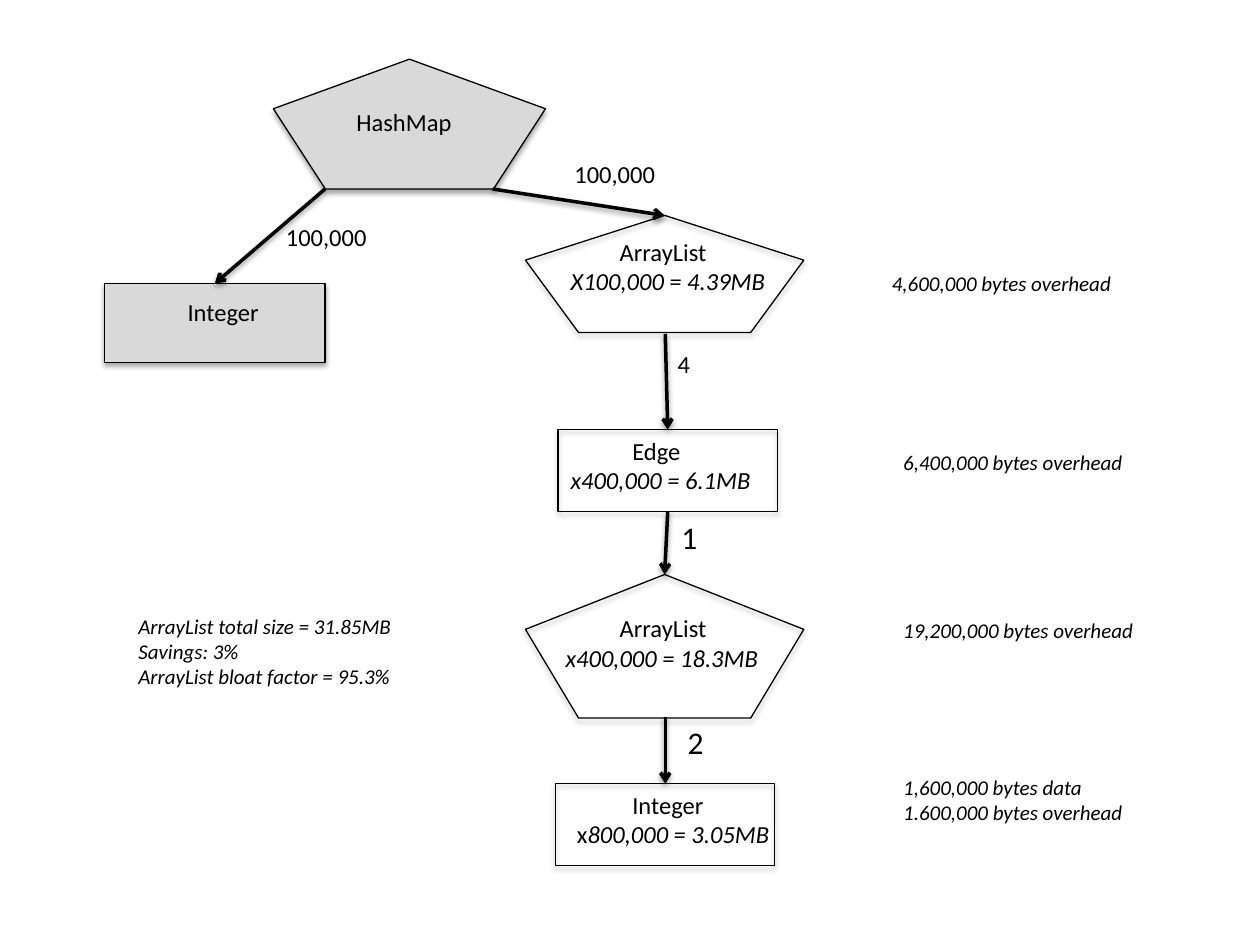
from pptx import Presentation
from pptx.dml.color import RGBColor
from pptx.enum.shapes import MSO_CONNECTOR, MSO_SHAPE
from pptx.enum.text import MSO_AUTO_SIZE
from pptx.oxml.ns import qn
from pptx.util import Inches, Pt
from lxml.etree import SubElement

COLORS = {"ink": "000000", "built_in": "D9D9D9"}
INK = RGBColor.from_string(COLORS["ink"])


def add_shadow(effects, alpha, distance):
    shadow = SubElement(effects, qn("a:outerShdw"), blurRad=str(Pt(3.1)),
                        dist=str(Pt(distance)), dir="5400000", rotWithShape="0")
    color = SubElement(shadow, qn("a:srgbClr"), val=COLORS["ink"])
    SubElement(color, qn("a:alpha"), val=str(alpha * 1000))


def add_label(box, lines, size):
    label = slide.shapes.add_textbox(*map(Inches, box))
    frame = label.text_frame
    frame.word_wrap = False
    frame.auto_size = MSO_AUTO_SIZE.SHAPE_TO_FIT_TEXT
    for number, (text, indent, italic) in enumerate(lines):
        paragraph = frame.add_paragraph() if number else frame.paragraphs[0]
        if indent:
            properties = paragraph._p.get_or_add_pPr()
            properties.set("marL", str(Inches(indent)))
            properties.set("indent", "0")
        upright = "x" if text.startswith("x800") else ""
        runs = [(upright, False), (text[len(upright):], italic)]
        for words, slanted in runs:
            if not words:
                continue
            run = paragraph.add_run()
            run.text = words
            for name, value in {"name": "Calibri", "size": Pt(size),
                                "italic": slanted}.items():
                setattr(run.font, name, value)
            run.font.color.rgb = INK


prs = Presentation()
prs.slide_width, prs.slide_height = Inches(10), Inches(7.5)
slide = prs.slides.add_slide(prs.slide_layouts[6])

PENTAGON, RECTANGLE = MSO_SHAPE.REGULAR_PENTAGON, MSO_SHAPE.RECTANGLE
node_specs = {
    "hash_map": (PENTAGON, (2.17, 0.47, 2.16, 1.03), "built_in"),
    "vertex_key": (RECTANGLE, (0.83, 2.25, 1.75, 0.63), "built_in"),
    "edge_list": (PENTAGON, (4.17, 1.71, 2.21, 0.93), None),
    "edge": (RECTANGLE, (4.43, 3.41, 1.74, 0.65), None),
    "endpoint_list": (PENTAGON, (4.17, 4.56, 2.21, 1.14), None),
    "endpoint": (RECTANGLE, (4.41, 6.22, 1.74, 0.65), None),
}
nodes = {}
for key, (outline, box, fill) in node_specs.items():
    node = slide.shapes.add_shape(outline, *map(Inches, box))
    if fill:
        node.fill.solid()
        node.fill.fore_color.rgb = RGBColor.from_string(COLORS[fill])
    else:
        node.fill.background()
    node.line.color.rgb = INK
    node.line.width = Pt(0.75)
    node.shadow.inherit = False
    add_shadow(node._element.spPr.find(qn("a:effectLst")), 35, 1.8)
    nodes[key] = node

references = [
    ((2.58, 1.5), None, "vertex_key"),
    ((3.91, 1.5), None, "edge_list"),
    ((5.28, 2.65), None, "edge"),
    ((5.3, 4.06), "edge", "endpoint_list"),
    ((5.28, 5.69), None, "endpoint"),
]
for (x, y), source, target in references:
    arrow = slide.shapes.add_connector(MSO_CONNECTOR.STRAIGHT, Inches(x), Inches(y),
                                       Inches(x), Inches(y))
    if source:
        arrow.begin_connect(nodes[source], 2)
    arrow.end_connect(nodes[target], 0)
    arrow.line.color.rgb = INK
    arrow.line.width = Pt(2)
    SubElement(arrow.line._get_or_add_ln(), qn("a:tailEnd"), type="arrow")
    add_shadow(SubElement(arrow._element.spPr, qn("a:effectLst")), 38, 1.6)

node_labels = [
    ((2.69, 0.8, 1.04, 0.34), [("HashMap", 0.04, False)]),
    ((1.39, 2.31, 0.78, 0.34), [("Integer", 0, False)]),
    ((4.43, 1.83, 1.81, 0.57), [("ArrayList", 0.39, False), ("X100,000 = 4.39MB", 0, True)]),
    ((4.43, 3.41, 1.74, 0.57), [("Edge", 0.49, False), ("x400,000 = 6.1MB", 0, True)]),
    ((4.39, 4.82, 1.79, 0.57), [("ArrayList", 0.43, False), ("x400,000 = 18.3MB", 0, True)]),
    ((4.43, 6.22, 1.82, 0.57), [("Integer", 0.49, False), ("x800,000 = 3.05MB", 0.05, True)]),
]
for box, lines in node_labels:
    add_label(box, lines, 14)

counts = [
    ((2.17, 1.71, 0.85, 0.34), "100,000", 14),
    ((4.46, 1.21, 0.85, 0.34), "100,000", 14),
    ((5.28, 2.72, 0.3, 0.34), "4", 14),
    ((5.31, 4.06, 0.33, 0.4), "1", 18),
    ((5.36, 5.69, 0.33, 0.4), "2", 18),
]
for box, count, size in counts:
    add_label(box, [(count, 0, False)], size)

notes = [
    ((6.98, 2.1, 2, 0.3), ["4,600,000 bytes overhead"]),
    ((7.07, 3.52, 2, 0.3), ["6,400,000 bytes overhead"]),
    ((7.07, 4.85, 2.08, 0.3), ["19,200,000 bytes overhead"]),
    ((7.07, 6.1, 2, 0.5), ["1,600,000 bytes data", "1.600,000 bytes overhead"]),
    ((1, 4.82, 2.32, 0.71), ["ArrayList total size = 31.85MB", "Savings: 3%",
                             "ArrayList bloat factor = 95.3%"]),
]
for box, lines in notes:
    add_label(box, [(line, 0, True) for line in lines], 12)

prs.save("out.pptx")
